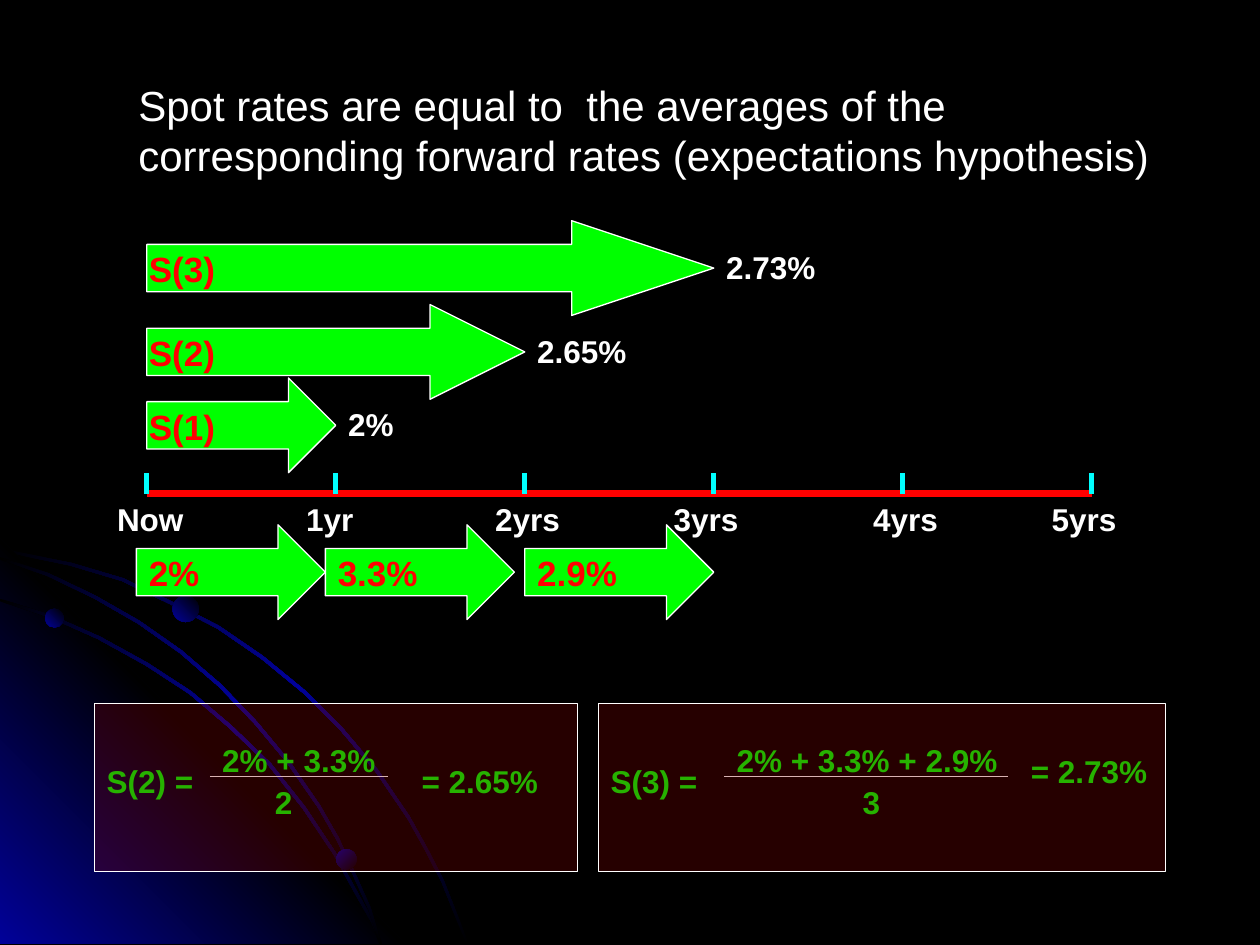
from lxml.etree import SubElement
from pptx import Presentation
from pptx.dml.color import RGBColor
from pptx.enum.shapes import MSO_CONNECTOR, MSO_SHAPE
from pptx.oxml.ns import qn
from pptx.util import Cm, Pt

WHITE, BLACK, RED, GREEN, CYAN = "FFFFFF", "000000", "FF0000", "00FF00", "00FFFF"
MAROON, NAVY = "800000", "010199"
FADE = [(0, BLACK), (50, NAVY), (100, BLACK)]
PAGE_HEIGHT = 19.05
YEAR = 3.81  # width of one year on the time axis
ARROW_HEIGHT = 1.91
LABEL_DROP = 0.42  # from the top of an arrow to its label

# Upper edges of the arcs in the background
ARCS = [
    [(0, 11.05), (0.71, 11.2), (1.45, 11.35), (2.49, 11.66), (3.45, 12.12),
     (4.42, 12.62), (5.31, 13.23), (6.15, 13.92), (6.91, 14.68), (7.62, 15.52),
     (8.26, 16.46), (8.61, 17.09), (8.94, 17.73), (9.19, 18.36), (9.45, 19.02)],
    [(0, 12.07), (1.04, 12.4), (2.01, 12.83), (2.97, 13.36), (3.86, 13.94),
     (4.67, 14.63), (5.46, 15.39), (6.15, 16.26), (6.76, 17.17), (7.26, 18.08),
     (7.52, 18.54), (7.7, 19.02)],
    [(0, 11.23), (0.99, 11.56), (1.93, 12.01), (2.82, 12.52), (3.66, 13.11),
     (4.45, 13.79), (5.18, 14.55), (5.82, 15.32), (6.45, 16.23), (6.83, 16.89),
     (7.16, 17.6), (7.47, 18.29), (7.7, 19.02)],
]


def color(value):
    return RGBColor.from_string(value)


def fill_gradient(shape, stops, angle):
    """Fill a shape with a linear gradient; the angle runs clockwise."""
    shape.shadow.inherit = False
    shape.line.fill.background()
    shape.fill.gradient()
    shape.fill.gradient_angle = 360 - angle
    stop_list = shape._element.spPr.find(qn("a:gradFill")).find(qn("a:gsLst"))
    stop_list.clear()
    for position, value in stops:
        stop = SubElement(stop_list, qn("a:gs"), pos=str(position * 1000))
        SubElement(stop, qn("a:srgbClr"), val=value)


def add_polygon(slide, points, stops, angle):
    corners = [(Cm(x), Cm(y)) for x, y in points]
    builder = slide.shapes.build_freeform(*corners[0], scale=1.0)
    builder.add_line_segments(corners[1:], close=True)
    fill_gradient(builder.convert_to_shape(), stops, angle)


def add_text(slide, left, top, width, text, size=18, value=WHITE, bold=True, height=1.02):
    box = slide.shapes.add_textbox(Cm(left), Cm(top), Cm(width), Cm(height))
    box.text_frame.word_wrap = True
    paragraph = box.text_frame.paragraphs[0]
    paragraph.text = text
    font = paragraph.font
    font.name, font.size, font.bold = "Arial", Pt(size), bold
    font.color.rgb = color(value)


def add_line(slide, start, end, value, weight):
    line = slide.shapes.add_connector(
        MSO_CONNECTOR.STRAIGHT, *(Cm(length) for length in (*start, *end)))
    line.line.color.rgb = color(value)
    line.line.width = Pt(weight)
    SubElement(line._element.spPr, qn("a:effectLst"))


def add_outlined(slide, kind, left, top, width, height, value):
    shape = slide.shapes.add_shape(kind, Cm(left), Cm(top), Cm(width), Cm(height))
    shape.shadow.inherit = False
    shape.fill.solid()
    shape.fill.fore_color.rgb = color(value)
    shape.line.color.rgb = color(WHITE)
    shape.line.width = Pt(0.75)
    return shape


def add_arrow(slide, left, top, years):
    arrow = add_outlined(slide, MSO_SHAPE.RIGHT_ARROW, left, top,
                         years * YEAR, ARROW_HEIGHT, GREEN)
    arrow.adjustments[0] = 0.5
    arrow.adjustments[1] = 0.5 * years


def add_background(slide):
    slide.background.fill.solid()
    slide.background.fill.fore_color.rgb = color(BLACK)

    def add_arc(edge):
        lower = [(max(x - 0.04, 0), min(y + 0.05, PAGE_HEIGHT)) for x, y in reversed(edge)]
        add_polygon(slide, edge + lower, FADE, 225)

    # The corner glow lies between the first arc and the others
    add_arc(ARCS[0])
    add_polygon(slide, [(8.18, 19.03), (0, 19.03), (0, 10.85)],
                [(0, NAVY), (50, BLACK), (100, NAVY)], 135)
    for edge in ARCS[1:]:
        add_arc(edge)
    for left, top, size, angle in [(0.91, 12.27, 0.38, 135), (6.78, 17.12, 0.41, 225),
                                   (3.48, 12.01, 0.53, 135)]:
        dot = slide.shapes.add_shape(MSO_SHAPE.OVAL, Cm(left), Cm(top), Cm(size), Cm(size))
        fill_gradient(dot, [(0, BLACK), (100, NAVY)], angle)


def add_time_axis(slide, left, top):
    labels = [("Now", 0.85), ("1yr", 0.85), ("2yrs", 0.85),
              ("3yrs", 1.06), ("4yrs", 0.85), ("5yrs", 1.06)]
    add_line(slide, (left, top), (left + 5 * YEAR, top), RED, 4.5)
    for year, (label, shift) in enumerate(labels):
        x = left + year * YEAR
        add_line(slide, (x, top), (x, top - 0.42), CYAN, 3)
        add_text(slide, x - shift, top, 2.12, label)


def add_spot_rates(slide, left, top):
    for years, offset, rate in [(1, 3.17, "2%"), (2, 1.69, "2.65%"), (3, 0, "2.73%")]:
        y = top + offset
        add_arrow(slide, left, y, years)
        add_text(slide, left - 0.21, y + LABEL_DROP, 2.54, f"S({years})", 20, RED)
        add_text(slide, left + years * YEAR, y + LABEL_DROP, 3.18, rate)


def add_forward_rates(slide, left, top):
    for offset, rate in [(0, "2%"), (YEAR, "3.3%"), (7.83, "2.9%")]:
        add_arrow(slide, left + offset, top, 1)
        add_text(slide, left + offset, top + LABEL_DROP, 2.54, rate, 20, RED)


def add_formula(slide, left, top, width, years, numerator, result,
                bar, bar_width, denominator, result_at):
    """Write an average as a fraction, under a tinted panel."""
    bar_left, bar_top = left + bar, top + 1.48
    result_left, result_drop = result_at
    add_text(slide, left, top + 1.06, 3.6, f"S({years}) =", value=GREEN)
    add_line(slide, (bar_left, bar_top), (bar_left + bar_width, bar_top), WHITE, 0.75)
    add_text(slide, left + denominator, bar_top, 2.54, str(years), value=GREEN)
    add_text(slide, left + result_left, top + result_drop, 3.18, result, value=GREEN)
    add_text(slide, bar_left, top + 0.64, bar_width + 0.6, numerator, value=GREEN)
    panel = add_outlined(slide, MSO_SHAPE.RECTANGLE, left, top, width, 3.39, MAROON)
    fill_color = panel._element.spPr.find(qn("a:solidFill"))[0]
    SubElement(fill_color, qn("a:alpha"), val="30000")


def main():
    presentation = Presentation()
    presentation.slide_width, presentation.slide_height = Cm(25.4), Cm(PAGE_HEIGHT)
    slide = presentation.slides.add_slide(presentation.slide_layouts[6])
    add_background(slide)
    add_time_axis(slide, 2.96, 9.95)
    add_spot_rates(slide, 2.96, 4.45)
    add_forward_rates(slide, 2.75, 10.58)
    add_formula(slide, 1.9, 14.18, 9.74, 2, "2% + 3.3%", "= 2.65%",
                bar=2.33, bar_width=3.6, denominator=3.39, result_at=(6.35, 1.06))
    add_formula(slide, 12.06, 14.18, 11.43, 3, "2% + 3.3% + 2.9%", "= 2.73%",
                bar=2.54, bar_width=5.72, denominator=5.08, result_at=(8.47, 0.85))
    # Title
    add_text(slide, 2.54, 1.48, 21.17,
             "Spot rates are equal to  the averages of the corresponding "
             "forward rates (expectations hypothesis)", 24, bold=False, height=2.29)
    presentation.save("out.pptx")


if __name__ == "__main__":
    main()
